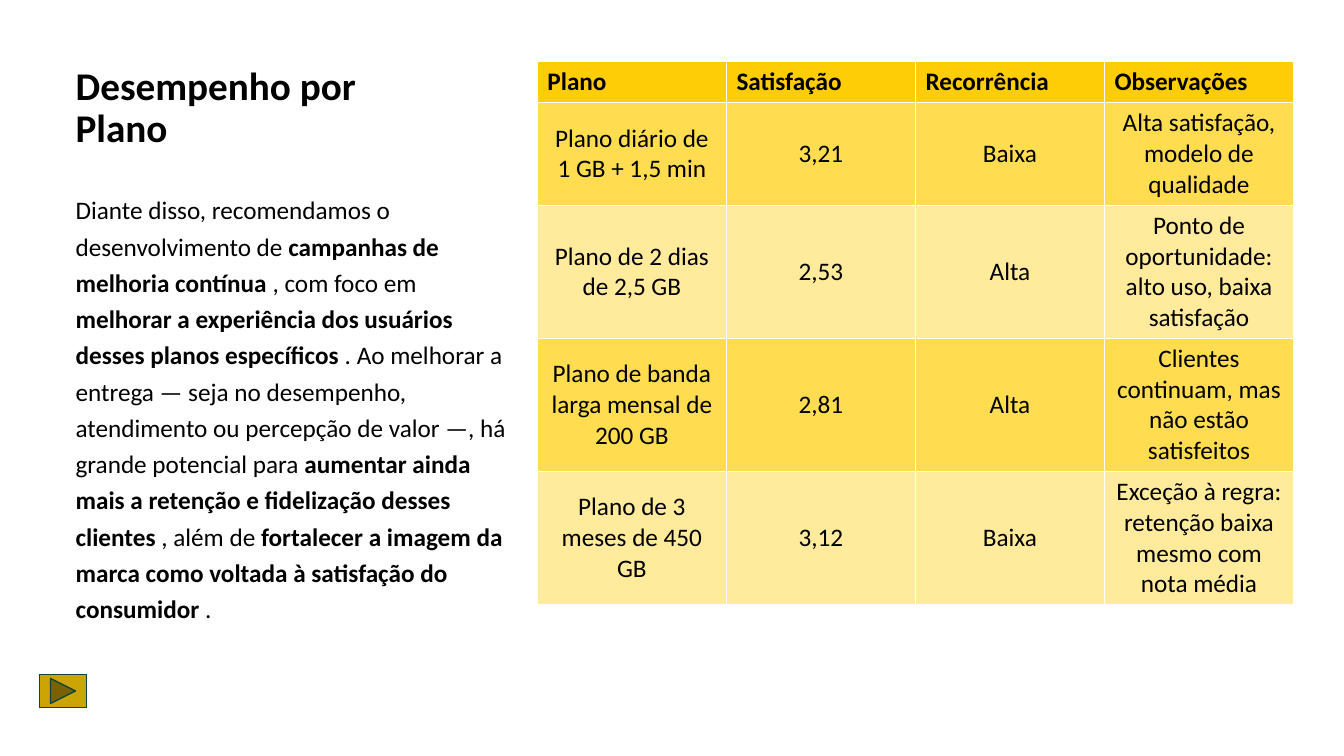
from typing import NamedTuple

from pptx import Presentation
from pptx.dml.color import RGBColor
from pptx.enum import shapes, text
from pptx.oxml import xmlchemy as xml
from pptx.util import Inches, Pt

FONT = "Calibri"
BLACK = "000000"
HEAD = "FFCD05"
BANDS = ("FFDC50", "FFEB9B")
BOX = ("left", "top", "width", "height")


class Plan(NamedTuple):
    name: str
    score: str
    repeat: str
    note: str


HEADS = Plan("Plano", "Satisfação", "Recorrência", "Observações")
PLANS = [
    Plan("Plano diário de 1 GB + 1,5 min", "3,21", "Baixa",
         "Alta satisfação, modelo de qualidade"),
    Plan("Plano de 2 dias de 2,5 GB", "2,53", "Alta",
         "Ponto de oportunidade: alto uso, baixa satisfação"),
    Plan("Plano de banda larga mensal de 200 GB", "2,81", "Alta",
         "Clientes continuam, mas não estão satisfeitos"),
    Plan("Plano de 3 meses de 450 GB", "3,12", "Baixa",
         "Exceção à regra: retenção baixa mesmo com nota média"),
]
HEIGHTS = (0.41, 1.01, 1.32, 1.32, 1.32)

# Every second part is bold.
ADVICE = (
    "Diante disso, recomendamos o desenvolvimento de ",
    "campanhas de melhoria contínua",
    " , com foco em ",
    "melhorar a experiência dos usuários desses planos específicos",
    " . Ao melhorar a entrega — seja no desempenho, atendimento ou "
    "percepção de valor —, há grande potencial para ",
    "aumentar ainda mais a retenção e fidelização desses clientes",
    " , além de ",
    "fortalecer a imagem da marca como voltada à satisfação do consumidor",
    " .",
)


def color(code: str) -> RGBColor:
    return RGBColor.from_string(code)


def paint(item, code: str) -> None:
    item.fill.solid()
    item.fill.fore_color.rgb = color(code)


def place(shape, *box: float) -> None:
    for side, size in zip(BOX, box):
        setattr(shape, side, Inches(size))


def write(par, words: str, *, size: float = 18, bold: bool = False,
          align=text.PP_ALIGN.LEFT) -> None:
    """Append one formatted run to a paragraph."""
    par.alignment = align
    run = par.add_run()
    run.text = words
    font = run.font
    font.name, font.size, font.bold = FONT, Pt(size), bold
    font.color.rgb = color(BLACK)


def setup(shape, spacing: float):
    """Format a placeholder's frame and return its first paragraph."""
    frame = shape.text_frame
    frame.word_wrap = True
    frame.auto_size = text.MSO_AUTO_SIZE.NONE
    frame.vertical_anchor = text.MSO_ANCHOR.TOP
    par = frame.paragraphs[0]
    par.line_spacing = spacing
    return par


def add_title(slide) -> None:
    title = slide.shapes.title
    place(title, 0.65, 0.61, 3.93, 1.92)
    write(setup(title, 0.9), "Desempenho por Plano", size=28, bold=True)


def add_body(slide) -> None:
    body = slide.placeholders[1]
    place(body, 0.65, 1.82, 4.51, 4.08)
    par = setup(body, 1.2)
    par.space_before = Pt(10)
    props = par._p.get_or_add_pPr()
    props.set("marL", "0")
    props.set("indent", "0")
    props.append(xml.OxmlElement("a:buNone"))
    for i, part in enumerate(ADVICE):
        write(par, part, bold=i % 2 == 1)


def add_plans(slide) -> None:
    rows = [HEADS, *PLANS]
    grid = slide.shapes.add_table(
        len(rows), len(HEADS), Inches(5.33), Inches(0.61),
        Inches(7.5), Inches(sum(HEIGHTS))).table
    for r, row in enumerate(rows):
        grid.rows[r].height = Inches(HEIGHTS[r])
        head = r == 0
        align = text.PP_ALIGN.LEFT if head else text.PP_ALIGN.CENTER
        for c, words in enumerate(row):
            cell = grid.cell(r, c)
            paint(cell, HEAD if head else BANDS[(r - 1) % 2])
            cell.vertical_anchor = text.MSO_ANCHOR.MIDDLE
            write(cell.text_frame.paragraphs[0], words, bold=head, align=align)


def add_button(slide) -> None:
    button = slide.shapes.add_shape(
        shapes.MSO_SHAPE.ACTION_BUTTON_FORWARD_OR_NEXT,
        Inches(0.39), Inches(6.69), Inches(0.47), Inches(0.33))
    button.shadow.inherit = False
    paint(button, "CCA404")
    button.line.color.rgb = color("0A4443")
    button.line.width = Pt(1)


def main() -> None:
    deck = Presentation()
    deck.slide_width, deck.slide_height = Inches(13.33), Inches(7.5)
    slide = deck.slides.add_slide(deck.slide_layouts[1])
    add_title(slide)
    add_plans(slide)
    add_body(slide)
    add_button(slide)
    deck.save("out.pptx")


if __name__ == "__main__":
    main()
